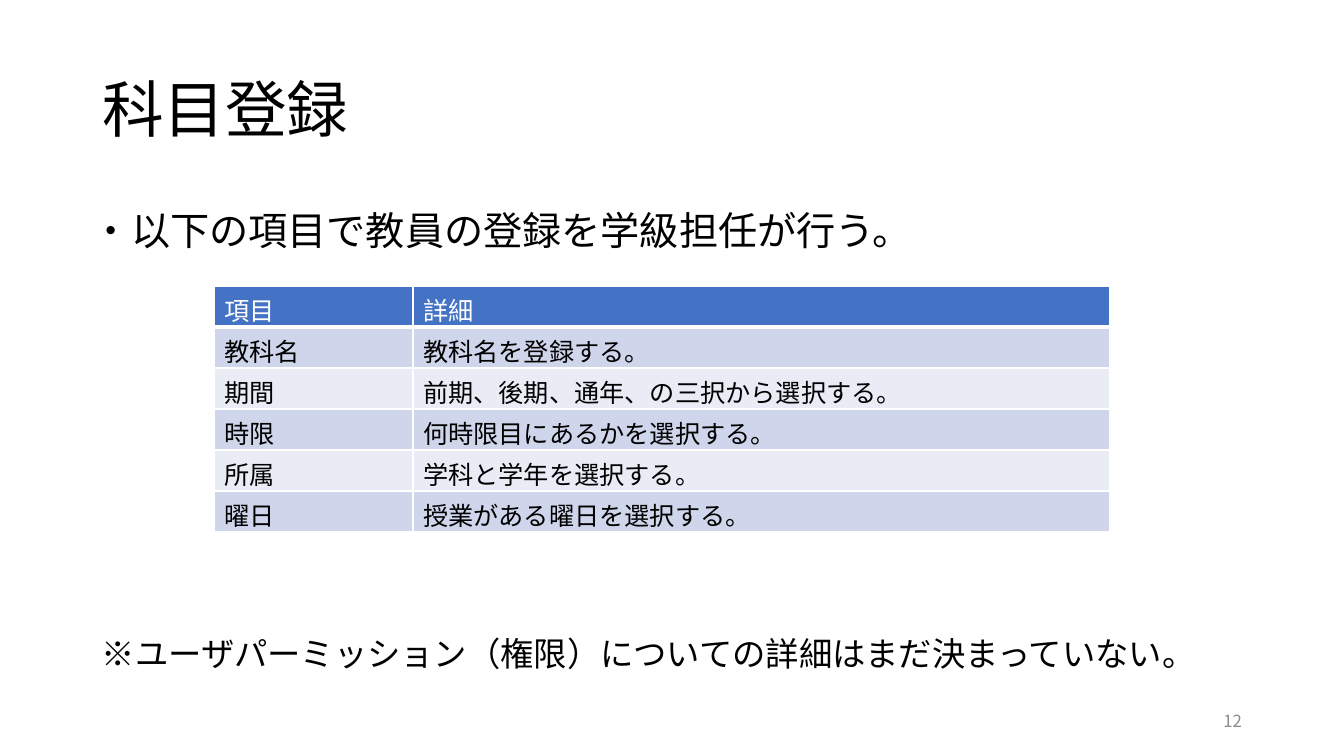
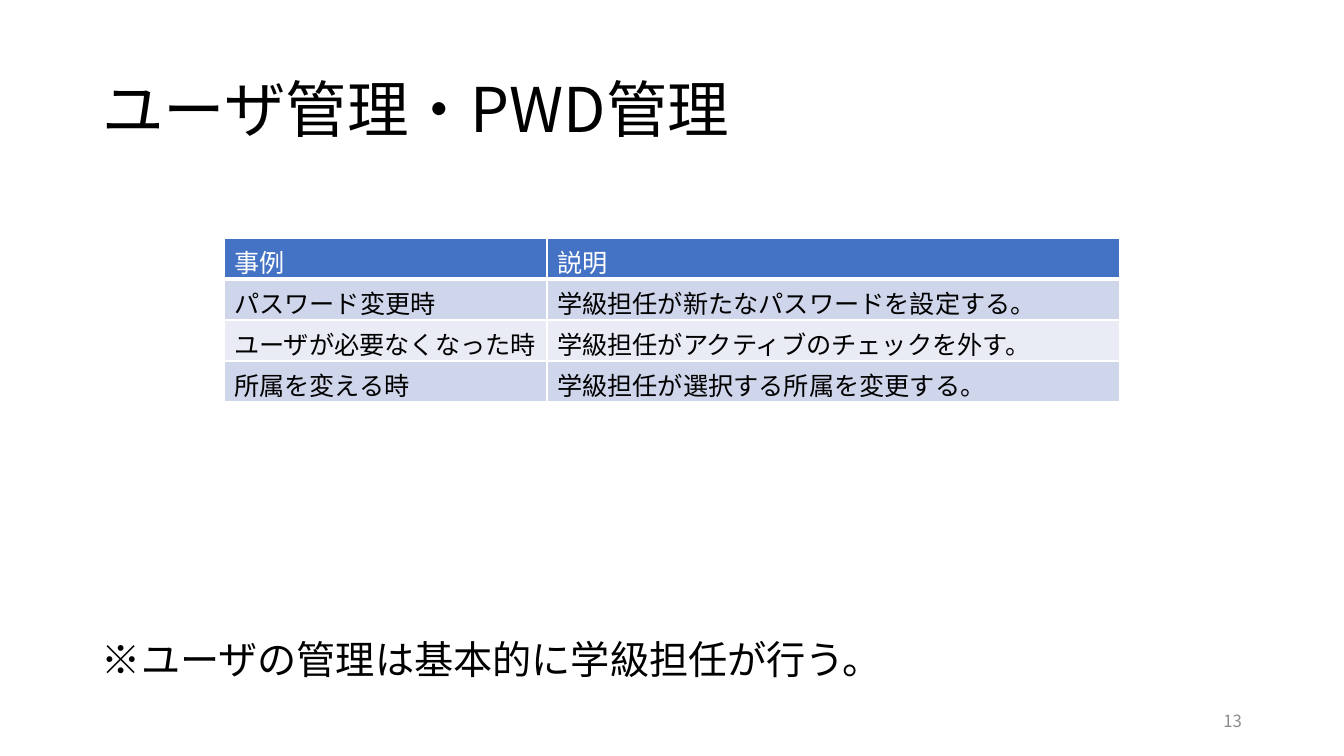
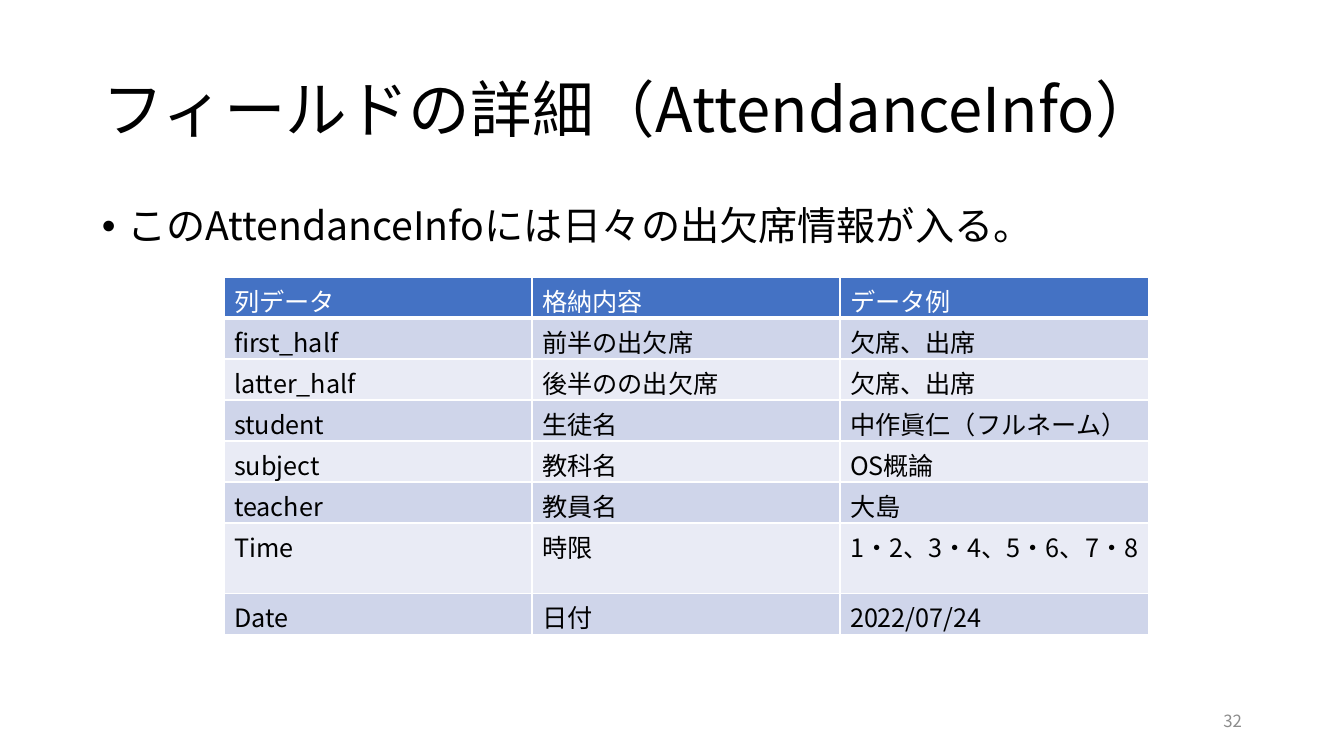
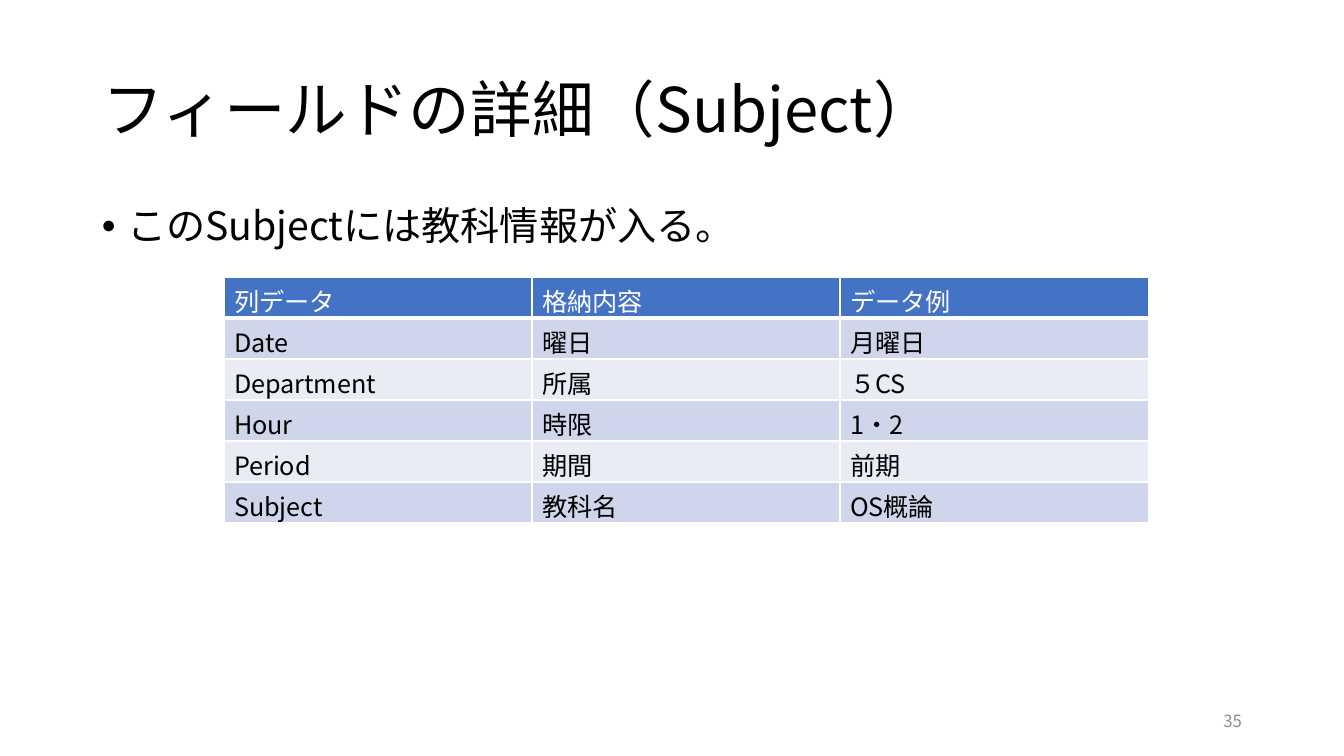
"""Build four slides on subject registration, user management and field details."""
import pptx
import pptx.dml.color
import pptx.enum.text
import pptx.oxml.ns
import pptx.util
from lxml import etree

EMU_PER_PX = 914400 / 100.8
FONT = "Noto Sans CJK JP"
BLACK, WHITE, GREY = "000000", "FFFFFF", "8C8C8C"
HEADER_FILL, BAND_FILLS = "4472C4", ("CFD5EA", "E9EBF5")
LEFT, WIDTH, ROW_HEIGHT = 92, 1159, 41
ALIGN = pptx.enum.text.PP_ALIGN
ANCHOR = pptx.enum.text.MSO_ANCHOR
qn = pptx.oxml.ns.qn


def px(length):
    """Turn px into EMU."""
    return pptx.util.Emu(round(length * EMU_PER_PX))


def write(frame, text, size=18, color=BLACK, align=ALIGN.LEFT, anchor=ANCHOR.TOP,
          line_spacing=1.0, space_before=0, bullet=False):
    """Put one formatted paragraph into a text frame."""
    frame.word_wrap = True
    frame.vertical_anchor = anchor
    paragraph = frame.paragraphs[0]
    paragraph.alignment = align
    paragraph.line_spacing = line_spacing
    paragraph.space_before = pptx.util.Pt(space_before)
    if bullet:
        properties = paragraph._p.get_or_add_pPr()
        indent = pptx.util.Inches(0.25)
        properties.set("marL", str(indent))
        properties.set("indent", str(-indent))
        etree.SubElement(properties, qn("a:buFont"), typeface="Arial")
        etree.SubElement(properties, qn("a:buChar"), char="•")
    run = paragraph.add_run()
    run.text = text
    run.font.size = pptx.util.Pt(size)
    run.font.bold = False
    run.font.name = FONT
    run.font.color.rgb = pptx.dml.color.RGBColor.from_string(color)
    etree.SubElement(run._r.get_or_add_rPr(), qn("a:ea"), typeface=FONT)


FIELD_HEADER = ("列データ", "格納内容", "データ例")
FIELD_TABLE = {"left": 224, "top": 277, "columns": (308, 308, 309)}
LEAD = {"size": 28, "line_spacing": 0.9, "space_before": 10}

SLIDES = [
    {
        "title": "科目登録",
        "number": "12",
        "texts": [
            ((82, 207, WIDTH, 65), "・以下の項目で教員の登録を学級担任が行う。", LEAD),
            ((LEFT, 636, WIDTH, 65),
             "※ユーザパーミッション（権限）についての詳細はまだ決まっていない。",
             {"size": 23.8, "line_spacing": 0.8, "space_before": 10}),
        ],
        "table": {"left": 214, "top": 286, "columns": (199, 697)},
        "rows": [
            ("項目", "詳細"),
            ("教科名", "教科名を登録する。"),
            ("期間", "前期、後期、通年、の三択から選択する。"),
            ("時限", "何時限目にあるかを選択する。"),
            ("所属", "学科と学年を選択する。"),
            ("曜日", "授業がある曜日を選択する。"),
        ],
    },
    {
        "title": "ユーザ管理・PWD管理",
        "number": "13",
        "texts": [
            ((LEFT, 636, WIDTH, 65), "※ユーザの管理は基本的に学級担任が行う。", LEAD),
        ],
        "table": {"left": 224, "top": 238, "columns": (323, 573)},
        "rows": [
            ("事例", "説明"),
            ("パスワード変更時", "学級担任が新たなパスワードを設定する。"),
            ("ユーザが必要なくなった時", "学級担任がアクティブのチェックを外す。"),
            ("所属を変える時", "学級担任が選択する所属を変更する。"),
        ],
    },
    {
        "title": "フィールドの詳細（AttendanceInfo）",
        "number": "32",
        "texts": [
            ((LEFT, 202, WIDTH, 480), "このAttendanceInfoには日々の出欠席情報が入る。",
             {**LEAD, "bullet": True}),
        ],
        "table": FIELD_TABLE,
        "rows": [
            FIELD_HEADER,
            ("first_half", "前半の出欠席", "欠席、出席"),
            ("latter_half", "後半のの出欠席", "欠席、出席"),
            ("student", "生徒名", "中作眞仁（フルネーム）"),
            ("subject", "教科名", "OS概論"),
            ("teacher", "教員名", "大島"),
            ("Time", "時限", "1・2、3・4、5・6、7・8"),
            ("Date", "日付", "2022/07/24"),
        ],
    },
    {
        "title": "フィールドの詳細（Subject）",
        "number": "35",
        "texts": [
            ((LEFT, 202, WIDTH, 480), "このSubjectには教科情報が入る。",
             {**LEAD, "bullet": True}),
        ],
        "table": FIELD_TABLE,
        "rows": [
            FIELD_HEADER,
            ("Date", "曜日", "月曜日"),
            ("Department", "所属", "５CS"),
            ("Hour", "時限", "1・2"),
            ("Period", "期間", "前期"),
            ("Subject", "教科名", "OS概論"),
        ],
    },
]

presentation = pptx.Presentation()
presentation.slide_width, presentation.slide_height = px(1344), px(756)

for content in SLIDES:
    slide = presentation.slides.add_slide(presentation.slide_layouts[5])

    title = slide.shapes.title
    title.left, title.top, title.width, title.height = map(px, (LEFT, 40, WIDTH, 146))
    title.text_frame.auto_size = pptx.enum.text.MSO_AUTO_SIZE.NONE
    write(title.text_frame, content["title"], size=44, anchor=ANCHOR.MIDDLE,
          line_spacing=0.9)

    number = slide.shapes.add_textbox(*map(px, (950, 701, 302, 40)))
    write(number.text_frame, content["number"], size=12, color=GREY,
          align=ALIGN.RIGHT, anchor=ANCHOR.MIDDLE)

    for box, text, text_format in content["texts"]:
        shape = slide.shapes.add_textbox(*map(px, box))
        write(shape.text_frame, text, **text_format)

    place, rows = content["table"], content["rows"]
    columns = place["columns"]
    table = slide.shapes.add_table(
        len(rows), len(columns), px(place["left"]), px(place["top"]),
        px(sum(columns)), px(ROW_HEIGHT * len(rows))).table
    table.first_row = table.horz_banding = False
    for column, width in zip(table.columns, columns):
        column.width = px(width)
    for row_index, row in enumerate(rows):
        is_header = row_index == 0
        fill = HEADER_FILL if is_header else BAND_FILLS[(row_index - 1) % 2]
        table.rows[row_index].height = px(ROW_HEIGHT)
        for column_index, text in enumerate(row):
            cell = table.cell(row_index, column_index)
            for side in "LRTB":
                weight = 3 if is_header and side == "B" else 1
                line = etree.SubElement(cell._tc.get_or_add_tcPr(), qn(f"a:ln{side}"),
                                        w=str(pptx.util.Pt(weight)))
                line_fill = etree.SubElement(line, qn("a:solidFill"))
                etree.SubElement(line_fill, qn("a:srgbClr"), val=WHITE)
            cell.fill.solid()
            cell.fill.fore_color.rgb = pptx.dml.color.RGBColor.from_string(fill)
            write(cell.text_frame, text, color=WHITE if is_header else BLACK)

presentation.save("out.pptx")
